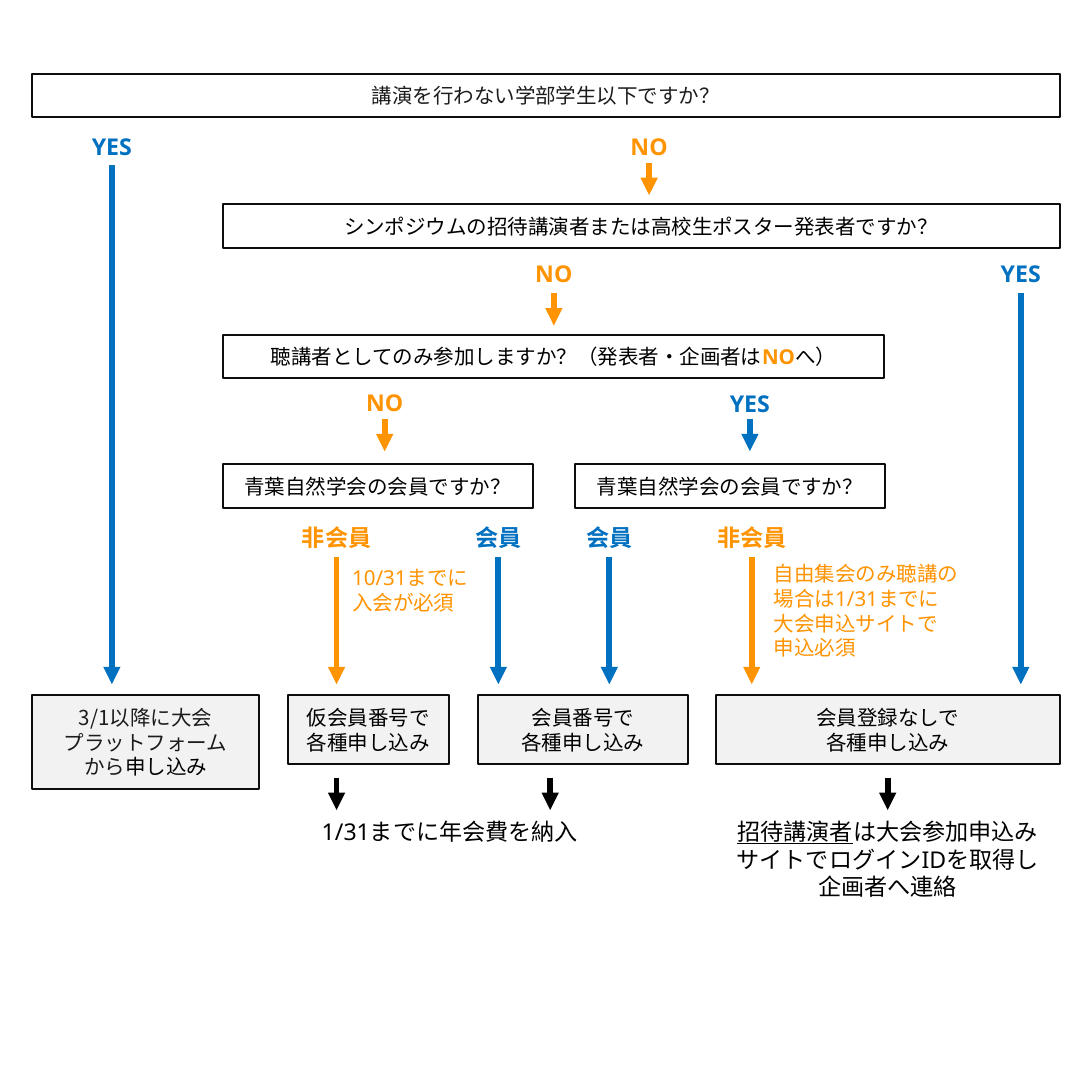
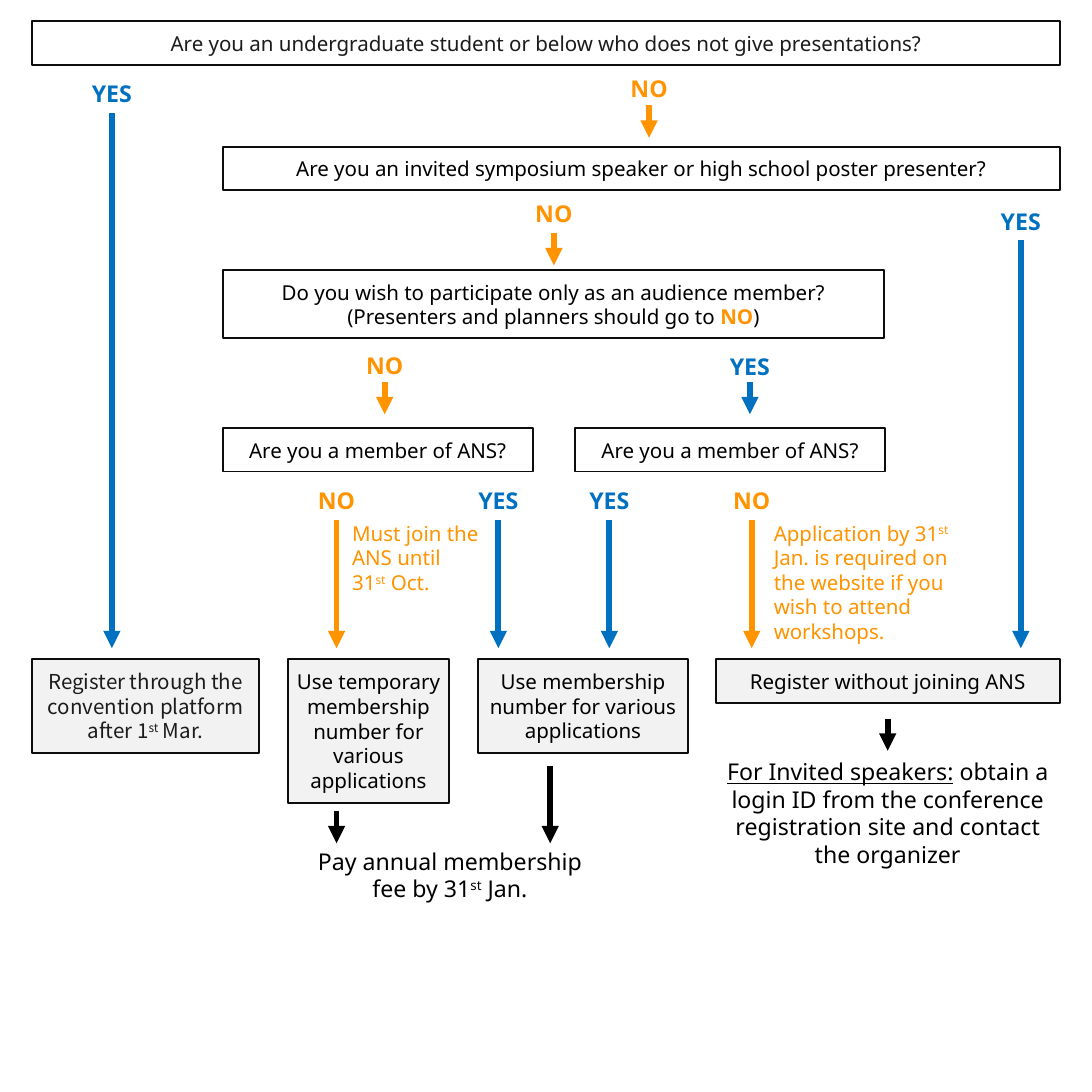
import pptx
import pptx.util
import pptx.dml.color
import pptx.enum.shapes
import pptx.enum.text
import pptx.oxml.ns
import lxml.etree

SIDE = 11.81
BLUE, ORANGE, BLACK, INK, EDGE, GREY = "0070C0", "FF9300", "000000", "1D1C1D", "0D0D0D", "F2F2F2"
LATIN, JAPANESE = "Noto Sans", "Noto Sans CJK JP"

COLUMNS = {
    "student": (0.35, 11.11), "speaker": (2.41, 9.05), "audience": (2.41, 7.15),
    "presenter member": (2.41, 3.35), "listener member": (6.22, 3.35),
    "platform": (0.35, 2.45), "temporary": (3.11, 1.75),
    "numbered": (5.17, 2.27), "unregistered": (7.74, 3.72),
    "join": (3.71, 1.7), "workshop": (8.27, 2.33),
    "fee": (3.22, 3.29), "invited": (7.74, 3.72),
}
RESULTS = ("platform", "temporary", "numbered", "unregistered")

BRANCHES = {
    "student yes": (1.21, BLUE, 0.41), "student no": (7.02, ORANGE, 0.38),
    "speaker yes": (11.04, BLUE, 0.41), "speaker no": (5.99, ORANGE, 0.41),
    "audience yes": (8.11, BLUE, 0.37), "audience no": (4.16, ORANGE, 0.38),
    "presenter no": (3.64, ORANGE, 0.41), "presenter yes": (5.39, BLUE, 0.41),
    "listener yes": (6.59, BLUE, 0.41), "listener no": (8.13, ORANGE, 0.41),
    "temporary pays": (3.64, BLACK, 0), "numbered pays": (5.95, BLACK, 0),
    "invited reports": (9.6, BLACK, 0),
}

JAPANESE_CHART = {
    "member labels": ("会員", "非会員"),
    "questions": {
        "student": (0.8, [["講演を行わない学部学生以下ですか？"]]),
        "speaker": (2.21, [["シンポジウムの招待講演者または高校生ポスター発表者ですか？"]]),
        "audience": (3.62, [["聴講者としてのみ参加しますか？（発表者・企画者は", ("NO", "no"), "へ）"]]),
        "presenter member": (5.02, [["青葉自然学会の会員ですか？"]]),
        "listener member": (5.02, [["青葉自然学会の会員ですか？"]]),
    },
    "results top": 7.52,
    "results": {
        "platform": (3, [["3/1以降に大会"], ["プラットフォーム"], ["から", ("申し込み", "plain")]]),
        "temporary": (2, [["仮会員番号で"], ["各種申し込み"]]),
        "numbered": (2, [["会員番号で"], ["各種申し込み"]]),
        "unregistered": (2, [["会員登録なしで"], ["各種申し込み"]]),
    },
    "conditions": {
        "join": (6.06, [["10/31までに"], ["入会が必須"]]),
        "workshop": (6.02, [["自由集会のみ聴講の場合は1/31までに"], ["大会申込サイトで"], ["申込必須"]]),
    },
    "follow-ups": {
        "fee": (8.79, [["1/31までに年会費を納入"]]),
        "invited": (8.79, [[("招待講演者", "underlined"), "は大会参加申込み"],
                           ["サイトでログインIDを取得し"], ["企画者へ連絡"]]),
    },
    "starts": {"student yes": 1.79, "student no": 1.76, "speaker yes": 3.17, "speaker no": 3.17,
               "audience": 4.53, "member": 6.02},
    "payments": {"temporary pays": (8.41, 8.76), "numbered pays": (8.41, 8.76),
                 "invited reports": (8.41, 8.76)},
}

ENGLISH_CHART = {
    "member labels": ("YES", "NO"),
    "questions": {
        "student": (0.23, [["Are you an undergraduate student or below who does not give presentations?"]]),
        "speaker": (1.59, [["Are you an invited symposium speaker or high school poster presenter?"]]),
        "audience": (2.92, [["Do you wish to participate only as an audience member?"],
                            ["(Presenters and planners should go to ", ("NO", "no"), ")"]]),
        "presenter member": (4.63, [["Are you a member of ANS?"]]),
        "listener member": (4.63, [["Are you a member of ANS?"]]),
    },
    "results top": 7.13,
    "results": {
        "platform": (3, [["Register through the convention platform after 1", ("st", "raised"), " Mar."]]),
        "temporary": (5, [["Use temporary membership number for various applications"]]),
        "numbered": (3, [["Use membership number for various applications"]]),
        "unregistered": (1, [["Register without joining ANS"]]),
    },
    "conditions": {
        "join": (5.58, [["Must join the ANS until"], ["31", ("st", "raised"), " Oct."]]),
        "workshop": (5.58, [["Application by 31", ("st", "raised"),
                             " Jan. is required on the website if you wish to attend workshops."]]),
    },
    "follow-ups": {
        "fee": (9.11, [["Pay annual membership fee by 31", ("st", "raised"), " Jan."]]),
        "invited": (8.14, [[("For Invited speakers:", "underlined"),
                            " obtain a login ID from the conference registration site"
                            " and contact the organizer"]]),
    },
    "starts": {"student yes": 1.22, "student no": 1.14, "speaker yes": 2.6, "speaker no": 2.52,
               "audience": 4.13, "member": 5.62},
    "payments": {"temporary pays": (8.77, 9.12), "numbered pays": (8.28, 9.12),
                 "invited reports": (7.78, 8.12)},
}


def rgb(code):
    return pptx.dml.color.RGBColor.from_string(code)


def inches(*lengths):
    return [pptx.util.Inches(length) for length in lengths]


def write(frame, paragraphs, size, colour, centred=True, bold=False, latin=LATIN):
    frame.word_wrap = True
    align = pptx.enum.text.PP_ALIGN
    for number, runs in enumerate(paragraphs):
        paragraph = frame.add_paragraph() if number else frame.paragraphs[0]
        paragraph.alignment = align.CENTER if centred else align.LEFT
        paragraph.line_spacing = pptx.util.Pt(size * 1.2)
        paragraph.space_before = pptx.util.Pt(0)
        for entry in runs:
            words, mark = (entry, "") if isinstance(entry, str) else entry
            run = paragraph.add_run()
            run.text = words
            font = run.font
            font.size = pptx.util.Pt(size)
            font.bold = bold or mark == "no"
            font.color.rgb = rgb({"no": ORANGE, "plain": BLACK}.get(mark, colour))
            font.name = LATIN if mark == "plain" else latin
            properties = run._r.get_or_add_rPr()
            lxml.etree.SubElement(properties, pptx.oxml.ns.qn("a:ea"), typeface=JAPANESE)
            if mark == "underlined":
                font.underline = True
            if mark == "raised":
                properties.set("baseline", "30000")


def add_box(slide, name, top, lines, paragraphs):
    left, width = COLUMNS[name]
    place = inches(left, top, width, 0.2 + 0.27 * lines)
    if name == "student":
        box = slide.shapes.title
        box.left, box.top, box.width, box.height = place
    else:
        box = slide.shapes.add_shape(pptx.enum.shapes.MSO_SHAPE.RECTANGLE, *place)
        box.shadow.inherit = False
    result = name in RESULTS
    if result:
        box.fill.solid()
        box.fill.fore_color.rgb = rgb(GREY)
    else:
        box.fill.background()
    box.line.color.rgb = rgb(EDGE)
    box.line.width = pptx.util.Pt(1.5)
    frame = box.text_frame
    frame.auto_size = pptx.enum.text.MSO_AUTO_SIZE.NONE
    frame.vertical_anchor = pptx.enum.text.MSO_ANCHOR.MIDDLE
    frame.margin_left = frame.margin_right = pptx.util.Inches(0.08 if result else 0.14)
    frame.margin_top = frame.margin_bottom = pptx.util.Inches(0.1)
    write(frame, paragraphs, 16, INK if name in ("student", "platform") else BLACK,
          latin=JAPANESE if name == "platform" else LATIN)


def add_words(slide, left, top, width, height, paragraphs, size, colour, **style):
    words = slide.shapes.add_textbox(*inches(left, top, width, height))
    write(words.text_frame, paragraphs, size, colour, **style)


def add_branch(slide, name, start, end, label=None):
    x, colour, gap = BRANCHES[name]
    arrow = slide.shapes.add_connector(
        pptx.enum.shapes.MSO_CONNECTOR.STRAIGHT, *inches(x, start, x, end))
    arrow.line.color.rgb = rgb(colour)
    arrow.line.width = pptx.util.Pt(4.5)
    lxml.etree.SubElement(arrow.line._get_or_add_ln(), pptx.oxml.ns.qn("a:tailEnd"), type="triangle")
    lxml.etree.SubElement(arrow._element.spPr, pptx.oxml.ns.qn("a:effectLst"))
    if label:
        add_words(slide, x - 0.55, start - gap, 1.1, 0.4, [[label]], 18, colour, bold=True)


def draw(deck, chart):
    slide = deck.slides.add_slide(deck.slide_layouts[5])
    for name, (top, paragraphs) in chart["questions"].items():
        add_box(slide, name, top, len(paragraphs), paragraphs)
    results_top = chart["results top"]
    for name, (lines, paragraphs) in chart["results"].items():
        add_box(slide, name, results_top, lines, paragraphs)
    for name in BRANCHES:
        if name in chart["payments"]:
            add_branch(slide, name, *chart["payments"][name])
            continue
        question, answer = name.split()
        yes, no = ("YES", "NO")
        if question in ("presenter", "listener"):
            yes, no = chart["member labels"]
            start = chart["starts"]["member"]
        else:
            start = chart["starts"].get(name, chart["starts"].get(question))
        short = question == "audience" or name in ("student no", "speaker no")
        end = start + 0.35 if short else results_top - 0.12
        add_branch(slide, name, start, end, yes if answer == "yes" else no)
    for name, (top, paragraphs) in chart["conditions"].items():
        left, width = COLUMNS[name]
        add_words(slide, left, top, width, 1.18, paragraphs, 16, ORANGE, centred=False)
    for name, (top, paragraphs) in chart["follow-ups"].items():
        left, width = COLUMNS[name]
        add_words(slide, left, top, width, 1.01, paragraphs, 18, BLACK)


deck = pptx.Presentation()
deck.slide_width, deck.slide_height = inches(SIDE, SIDE)
for chart in (JAPANESE_CHART, ENGLISH_CHART):
    draw(deck, chart)
deck.save("out.pptx")
